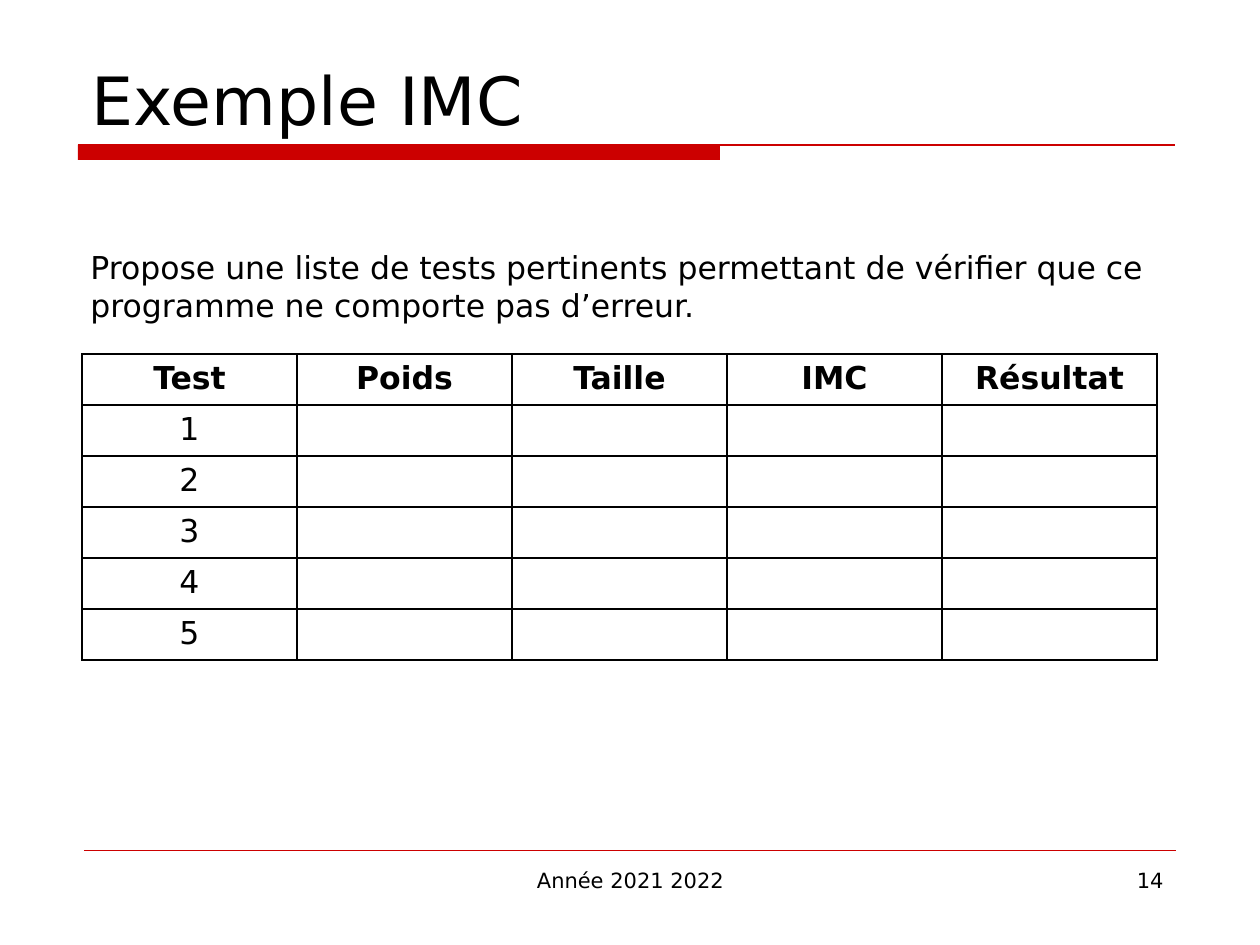
from lxml.etree import SubElement
from pptx import Presentation
from pptx.dml.color import RGBColor
from pptx.enum.shapes import MSO_CONNECTOR, MSO_SHAPE
from pptx.enum.text import MSO_ANCHOR, PP_ALIGN
from pptx.oxml.ns import qn
from pptx.util import Emu, Pt

RED = RGBColor(0xCC, 0x00, 0x00)
BLACK = RGBColor(0x00, 0x00, 0x00)
FONT = "DejaVu Sans"
PIXELS_PER_INCH = 126

HEADERS = ["Test", "Poids", "Taille", "IMC", "Résultat"]
TEST_COUNT = 5
COLUMN_WIDTH, ROW_HEIGHT = 215, 51


def px(length):
    return Emu(round(length * 914400 / PIXELS_PER_INCH))


def add_run(paragraph, text, size, bold=False):
    run = paragraph.add_run()
    run.text = text
    run.font.name = FONT
    run.font.size = Pt(size)
    run.font.bold = bold
    run.font.color.rgb = BLACK


def add_text(slide, box, text, size, align=PP_ALIGN.LEFT,
             anchor=MSO_ANCHOR.TOP, space_before=0):
    frame = slide.shapes.add_textbox(*map(px, box)).text_frame
    frame.word_wrap = True
    frame.vertical_anchor = anchor
    paragraph = frame.paragraphs[0]
    paragraph.alignment = align
    paragraph.space_before = Pt(space_before)
    add_run(paragraph, text, size)


def add_rule(slide, left, right, y, width):
    """Draw a horizontal red line."""
    line = slide.shapes.add_connector(
        MSO_CONNECTOR.STRAIGHT, px(left), px(y), px(right), px(y))
    line.line.color.rgb = RED
    line.line.width = Pt(width)
    SubElement(line.element.spPr, qn("a:effectLst"))


def add_bar(slide, box):
    bar = slide.shapes.add_shape(MSO_SHAPE.RECTANGLE, *map(px, box))
    bar.shadow.inherit = False
    bar.fill.solid()
    bar.fill.fore_color.rgb = RED
    bar.line.fill.background()


def add_cell_borders(cell):
    properties = cell._tc.get_or_add_tcPr()
    for position, side in enumerate(("lnL", "lnR", "lnT", "lnB")):
        border = properties.makeelement(qn(f"a:{side}"), {"w": str(Pt(1))})
        properties.insert(position, border)
        fill = SubElement(border, qn("a:solidFill"))
        SubElement(fill, qn("a:srgbClr"), val=str(BLACK))


def add_test_table(slide, left, top):
    rows = [HEADERS]
    for number in range(1, TEST_COUNT + 1):
        rows.append([str(number)] + [""] * (len(HEADERS) - 1))
    table = slide.shapes.add_table(
        len(rows), len(HEADERS), px(left), px(top),
        px(COLUMN_WIDTH * len(HEADERS)), px(ROW_HEIGHT * len(rows))).table
    for column in table.columns:
        column.width = px(COLUMN_WIDTH)
    for row_index, texts in enumerate(rows):
        table.rows[row_index].height = px(ROW_HEIGHT)
        for column_index, text in enumerate(texts):
            cell = table.cell(row_index, column_index)
            cell.fill.background()
            add_cell_borders(cell)
            if text:
                paragraph = cell.text_frame.paragraphs[0]
                paragraph.alignment = PP_ALIGN.CENTER
                add_run(paragraph, text, 18, bold=row_index == 0)


def main():
    presentation = Presentation()
    presentation.slide_width, presentation.slide_height = px(1260), px(945)
    slide = presentation.slides.add_slide(presentation.slide_layouts[6])

    add_bar(slide, (78, 145, 642, 15))
    add_rule(slide, 78, 1175, 145, 0.75)
    add_rule(slide, 84, 1176, 850, 0.25)
    add_text(slide, (79, 42, 1103, 103), "Exemple IMC", 38,
             anchor=MSO_ANCHOR.BOTTOM)
    add_text(slide, (78, 242, 1103, 588),
             "Propose une liste de tests pertinents permettant de vérifier "
             "que ce programme ne comporte pas d’erreur.", 18,
             space_before=3.6)
    add_test_table(slide, 82, 354)
    add_text(slide, (431, 861, 399, 66), "Année 2021 2022", 12,
             PP_ALIGN.CENTER)
    add_text(slide, (903, 861, 273, 66), "14", 12, PP_ALIGN.RIGHT)

    presentation.save("out.pptx")


if __name__ == "__main__":
    main()
